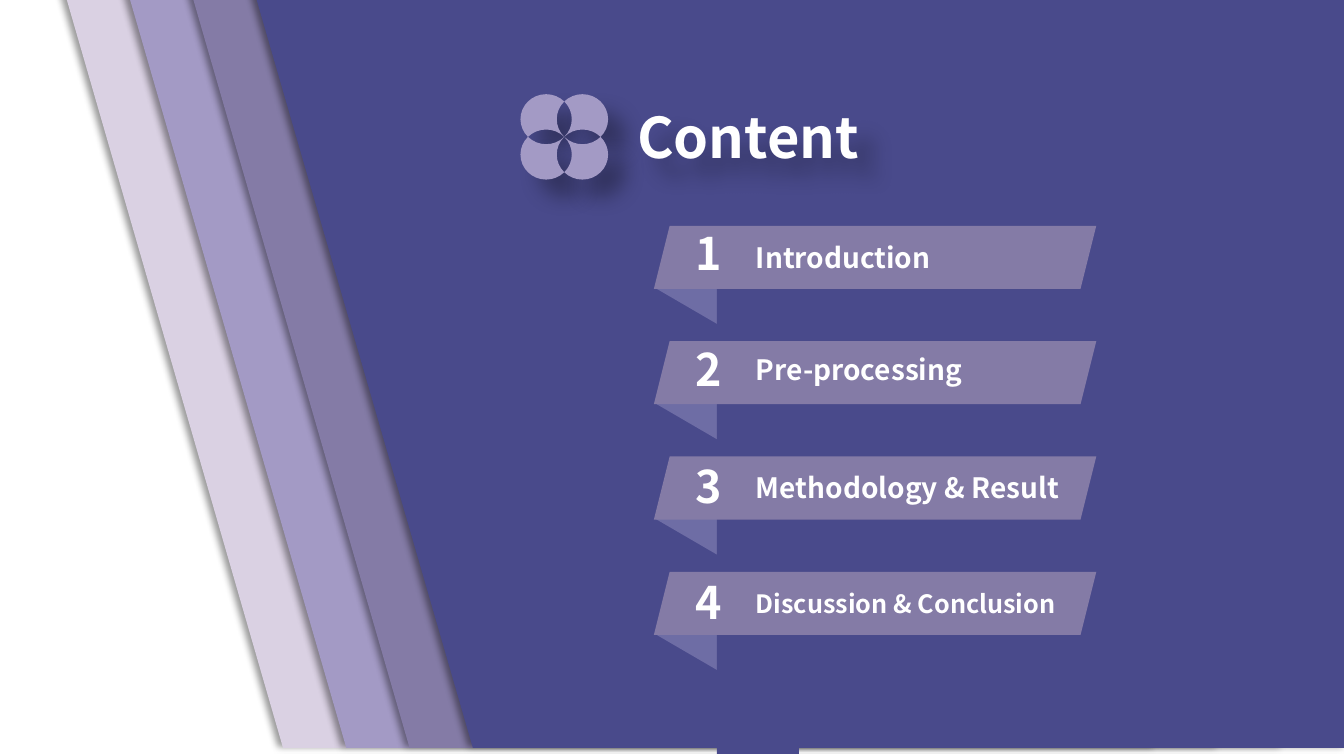
import math
import pptx
import pptx.util
import pptx.dml.color
import pptx.enum.shapes
import pptx.enum.text
import pptx.oxml
import pptx.oxml.ns

Pt = pptx.util.Pt
qn = pptx.oxml.ns.qn
KIND = pptx.enum.shapes.MSO_SHAPE
ALIGN = pptx.enum.text.PP_ALIGN
FONT = "Noto Sans CJK SC"
HUES = {
    "pale": "DAD1E3",
    "lilac": "A39AC5",
    "mauve": "847BA6",
    "indigo": "494A8B",
    "fold": "6E6DA5",
    "text": "FFFFFF",
    "shade": "000000",
}
# Label, text size, drop below the top of its bar
ITEMS = [
    ("Introduction", 20, 7),
    ("Pre-processing", 20, 4.4),
    ("Methodology & Result", 20, 6.5),
    ("Discussion & Conclusion", 18, 8),
]


def hue(name):
    return pptx.dml.color.RGBColor.from_string(HUES[name])


def paint(shape, name):
    shape.shadow.inherit = False
    shape.fill.solid()
    shape.fill.fore_color.rgb = hue(name)
    shape.line.fill.background()
    return shape


def block(slide, kind, x, y, w, h, name):
    shape = slide.shapes.add_shape(kind, Pt(x), Pt(y), Pt(w), Pt(h))
    return paint(shape, name)


def turned(slide, kind, x, y, w, h, name):
    """Fill the box x, y, w, h with a shape turned a quarter left."""
    shape = block(slide, kind, x + (w - h) / 2, y + (h - w) / 2, h, w, name)
    shape.rotation = 270
    return shape


def shade(shape, alpha, blur, dist, angle):
    shape.shadow.inherit = False
    effects = shape.element.spPr.find(qn("a:effectLst"))
    effects.append(pptx.oxml.parse_xml(
        f'<a:outerShdw {pptx.oxml.ns.nsdecls("a")} blurRad="{Pt(blur)}" '
        f'dist="{Pt(dist)}" dir="{angle * 60000}" algn="ctr" rotWithShape="0">'
        f'<a:srgbClr val="{HUES["shade"]}"><a:alpha val="{alpha * 1000}"/>'
        f'</a:srgbClr></a:outerShdw>'))


def write(shape, text, size, align):
    frame = shape.text_frame
    frame.word_wrap = True
    frame.auto_size = pptx.enum.text.MSO_AUTO_SIZE.NONE
    frame.vertical_anchor = pptx.enum.text.MSO_ANCHOR.TOP
    frame.text = text
    para = frame.paragraphs[0]
    para.alignment = align
    font = para.runs[0].font
    font.name, font.size, font.bold = FONT, Pt(size), True
    font.color.rgb = hue("text")


def label(slide, x, y, w, h, text, size, align):
    box = slide.shapes.add_textbox(Pt(x), Pt(y), Pt(w), Pt(h))
    write(box, text, size, align)


def slabs(slide, x, y, w, h):
    """Slanted sheets, each laid further right."""
    for i, name in enumerate(("pale", "lilac", "mauve", "indigo")):
        slab = turned(slide, KIND.FLOWCHART_MANUAL_INPUT,
                      x + 45.2 * i, y, w, h, name)
        shade(slab, 40, 4, 3, 180)


def arc(cx, cy, start, end):
    """Two handles and the end of a curve on a circle of radius √2."""
    a, b = math.radians(start), math.radians(end)
    pull = 4 / 3 * math.tan((b - a) / 4)
    spots = [(math.cos(a) - pull * math.sin(a), math.sin(a) + pull * math.cos(a)),
             (math.cos(b) + pull * math.sin(b), math.sin(b) - pull * math.cos(b)),
             (math.cos(b), math.sin(b))]
    return [(cx + math.sqrt(2) * px, cy + math.sqrt(2) * py) for px, py in spots]


def curve(shape):
    """Join each three line steps of an outline into one curve."""
    steps = list(shape.element.iter(qn("a:lnTo")))
    for i in range(0, len(steps), 3):
        bend = steps[i].makeelement(qn("a:cubicBezTo"), {})
        steps[i].addprevious(bend)
        for step in steps[i:i + 3]:
            bend.append(step[0])
            step.getparent().remove(step)


def flower(slide, x, y, w, h):
    """Four circles with their overlaps cut out."""
    unit = 2 + 2 * math.sqrt(2)
    petal = [(2, 0), *arc(1, 1, -45, 0), *arc(1, 1, 0, 90), *arc(1, 1, 90, 135),
             *arc(-1, 1, 45, -45), *arc(1, -1, 135, 45)]
    for sy in (-1, 1):
        for sx in (-1, 1):
            spots = [(Pt(x + w / 2 + sx * px * w / unit),
                      Pt(y + h / 2 + sy * py * h / unit)) for px, py in petal]
            pen = slide.shapes.build_freeform(*spots[0])
            pen.add_line_segments(spots[1:], close=True)
            leaf = paint(pen.convert_to_shape(), "lilac")
            curve(leaf)
            shade(leaf, 30, 15, 18, 45)


def heading(slide, x, y, w, h):
    title = slide.shapes.title
    title.left, title.top, title.width, title.height = map(Pt, (x, y, w, h))
    write(title, "Content", 40, ALIGN.JUSTIFY)
    shade(title, 30, 15, 18, 45)
    title.element.getparent().append(title.element)  # in front of the slabs


def agenda(slide, x, y, w, h):
    """Numbered bars with a folded tail under each."""
    bar, step = 45, 82.4
    tops = [y + step * i for i in range(len(ITEMS))]
    # Tails, then the strip that trims their right side
    for top in tops:
        turned(slide, KIND.ISOSCELES_TRIANGLE,
               x + 0.8, top + 10.8, 57.6, 67, "fold")
    block(slide, KIND.RECTANGLE, x + 45, y - 18, 58.6, h, "indigo")
    # Bars and their wording
    for i, (text, size, drop) in enumerate(ITEMS):
        block(slide, KIND.PARALLELOGRAM, x, tops[i], w, bar, "mauve")
        label(slide, x + 12.2, tops[i] - 3.6 + 0.7 * i, 54, 46,
              str(i + 1), 32, ALIGN.CENTER)
        label(slide, x + 65.7, tops[i] + drop, w - 62, 32,
              text, size, ALIGN.LEFT)


def main():
    deck = pptx.Presentation()
    deck.slide_width, deck.slide_height = Pt(960), Pt(540)
    slide = deck.slides.add_slide(deck.slide_layouts[5])
    slabs(slide, 46.1, -5.8, 780.5, 540)
    flower(slide, 371.8, 67.3, 62.6, 61)
    heading(slide, 448, 69.8, 187, 55.4)
    agenda(slide, 467.1, 161.3, 316, 395.3)
    deck.save("out.pptx")


if __name__ == "__main__":
    main()
